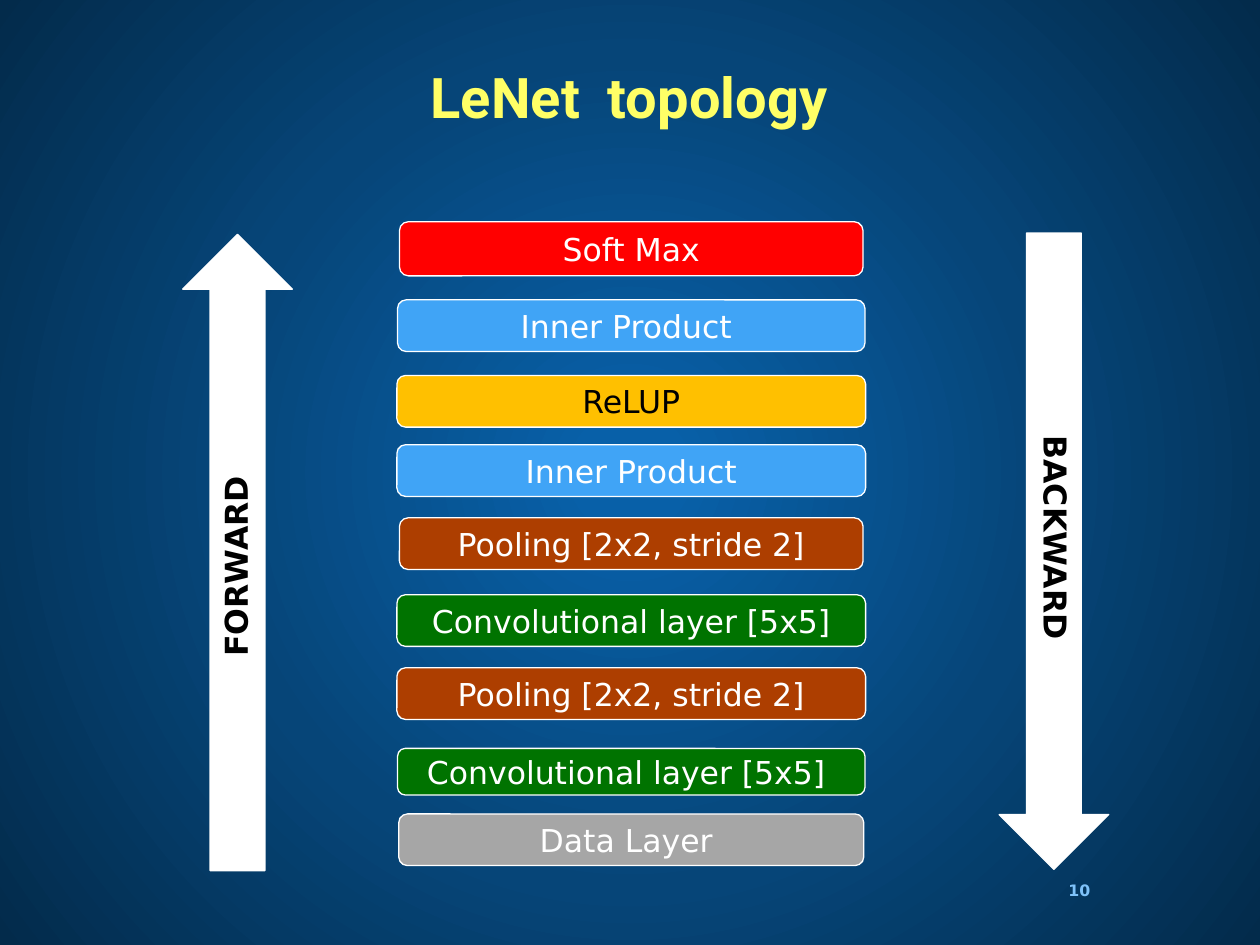
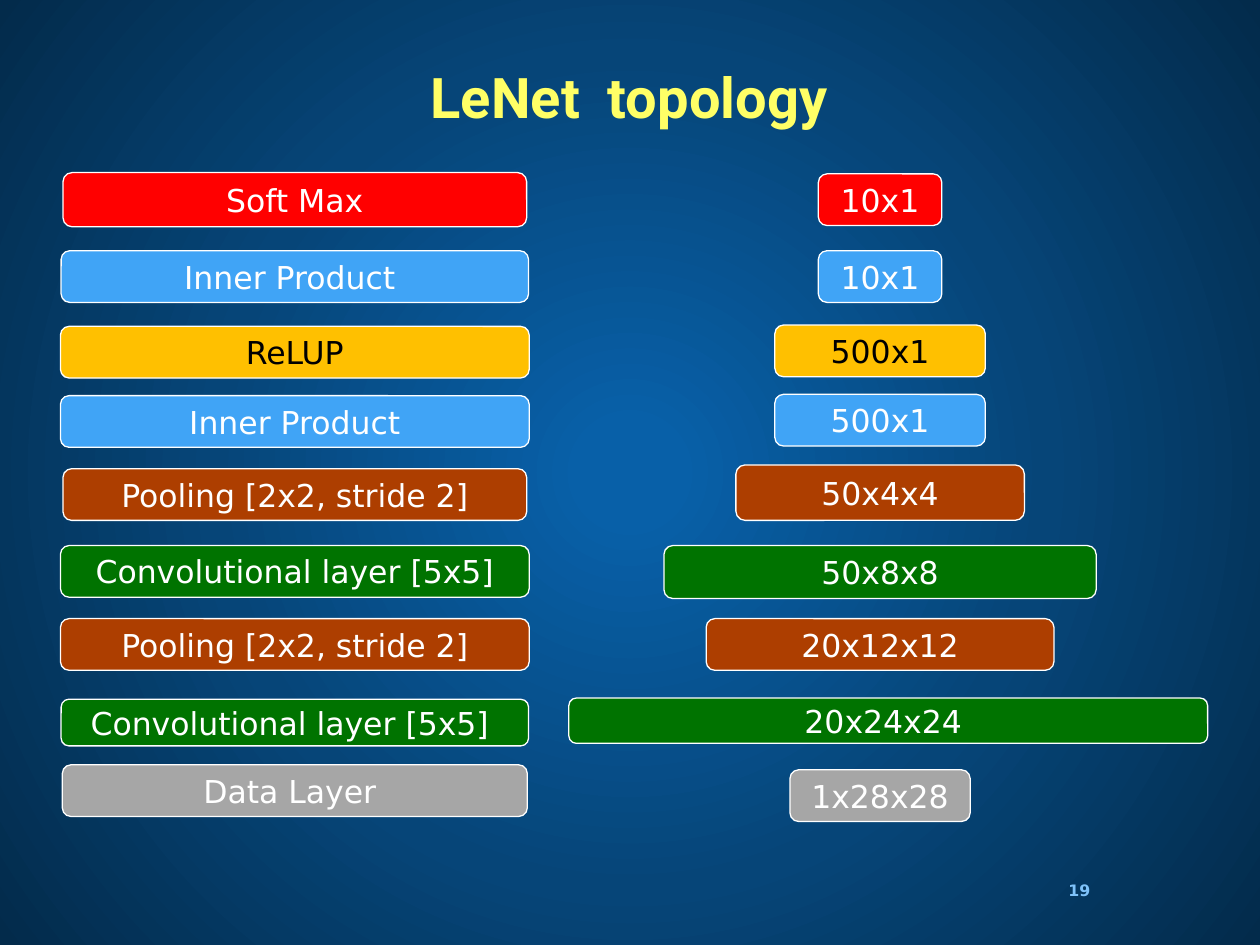
"""Build two LeNet topology slides on a shared radial background."""
import lxml.etree
import pptx
import pptx.dml.color
import pptx.enum.shapes
import pptx.enum.text
import pptx.oxml.ns
import pptx.util
from typing import NamedTuple

COLS, ROWS = 100, 75
SLIDE_W, SLIDE_H = pptx.util.Inches(10), pptx.util.Inches(7.5)
BODY_FONT, TITLE_FONT = "DejaVu Sans", "Roboto"
COLOURS = {
    "glow": "0860A8", "mid": "064578", "edge": "032B4B",
    "title": "FFFF66", "number": "7FC2F9", "white": "FFFFFF", "black": "000000",
    "softmax": "FF0000", "product": "40A4F6", "relu": "FFC000",
    "pooling": "AD3E00", "conv": "007300", "data": "A6A6A6",
}
GLOW_STOPS = [(6, "glow"), (53, "mid"), (100, "edge")]
SHAPES = pptx.enum.shapes.MSO_SHAPE
ANCHOR = pptx.enum.text.MSO_ANCHOR
ALIGN = pptx.enum.text.PP_ALIGN


class Box(NamedTuple):
    """An area measured in grid columns and rows."""
    left: float
    top: float
    width: float
    height: float

    def emu(self):
        """Return the area in slide units."""
        cw, rh = SLIDE_W / COLS, SLIDE_H / ROWS
        return [round(v) for v in (self.left * cw, self.top * rh,
                                   self.width * cw, self.height * rh)]


class Bar(NamedTuple):
    """One rounded bar: text, colour key, top within its stack, size and shift."""
    text: str
    kind: str
    top: float
    width: float
    height: float = 4.1
    shift: float = 0


LAYERS = [
    Bar("Soft Max", "softmax", 0, 36.8, 4.3),
    Bar("Inner Product ", "product", 6.2, 37.1),
    Bar("ReLUP", "relu", 12.2, 37.2),
    Bar("Inner Product", "product", 17.7, 37.2),
    Bar("Pooling [2x2, stride 2]", "pooling", 23.5, 36.8),
    Bar("Convolutional layer [5x5]", "conv", 29.6, 37.2),
    Bar("Pooling [2x2, stride 2]", "pooling", 35.4, 37.2),
    Bar("Convolutional layer [5x5] ", "conv", 41.8, 37.1, 3.7),
    Bar("Data Layer ", "data", 47, 36.9),
]
SIZES = [
    Bar("10x1", "softmax", 0.1, 9.8),
    Bar("10x1", "product", 6.2, 9.8),
    Bar("500x1", "relu", 12.1, 16.7),
    Bar("500x1", "product", 17.6, 16.7),
    Bar("50x4x4", "pooling", 23.2, 22.9, 4.4),
    Bar("50x8x8", "conv", 29.6, 34.3, 4.2),
    Bar("20x12x12", "pooling", 35.4, 27.6),
    Bar("20x24x24 ", "conv", 41.7, 50.7, 3.6, 0.65),
    Bar("1x28x28", "data", 47.4, 14.3),
]


def rgb(name):
    """Look up a colour by its name."""
    return pptx.dml.color.RGBColor.from_string(COLOURS[name])


def write(sp, text, size, colour, font=BODY_FONT, bold=False,
          align=ALIGN.CENTER, anchor=ANCHOR.MIDDLE):
    """Put one formatted paragraph into a shape."""
    tf = sp.text_frame
    tf.word_wrap = True
    tf.vertical_anchor = anchor
    p = tf.paragraphs[0]
    p.text = text
    p.alignment = align
    p.font.name, p.font.size, p.font.bold = font, pptx.util.Pt(size), bold
    p.font.color.rgb = rgb(colour)
    return tf


def add_filled(s, preset, box, fill):
    """Add a flat shape with a thin white outline."""
    sp = s.shapes.add_shape(preset, *box.emu())
    sp.shadow.inherit = False
    sp.fill.solid()
    sp.fill.fore_color.rgb = rgb(fill)
    sp.line.color.rgb = rgb("white")
    sp.line.width = pptx.util.Pt(0.75)
    return sp


def set_background(master):
    """Give the master a radial glow."""
    qn = pptx.oxml.ns.qn
    master.background.fill.solid()
    bg = master.element.find(".//" + qn("p:bgPr"))
    bg.remove(bg[0])
    grad = lxml.etree.Element(qn("a:gradFill"), rotWithShape="1")
    stops = lxml.etree.SubElement(grad, qn("a:gsLst"))
    for pos, name in GLOW_STOPS:
        gs = lxml.etree.SubElement(stops, qn("a:gs"), pos=str(pos * 1000))
        lxml.etree.SubElement(gs, qn("a:srgbClr"), val=COLOURS[name])
    glow = lxml.etree.SubElement(grad, qn("a:path"))
    glow.set("path", "circle")
    lxml.etree.SubElement(glow, qn("a:fillToRect"),
                          **dict.fromkeys("ltrb", "50000"))
    bg.insert(0, grad)


def add_base(prs, title, number):
    """Add a slide with its title and page number."""
    s = prs.slides.add_slide(prs.slide_layouts[5])
    sp = s.shapes.title
    sp.left, sp.top, sp.width, sp.height = Box(3.9, 1.7, 92.1, 12.5).emu()
    tf = write(sp, title, 32, "title", TITLE_FONT, True)
    tf.paragraphs[0].line_spacing = 0.9
    sp = s.shapes.add_textbox(*Box(84.8, 69, 4.5, 3.3).emu())
    tf = write(sp, str(number), 9, "number", bold=True, align=ALIGN.LEFT)
    tf.margin_left = tf.margin_right = tf.margin_top = tf.margin_bottom = 0
    return s


def add_stack(s, bars, box):
    """Stack bars centred across the box."""
    for bar in bars:
        left = box.left + (box.width - bar.width) / 2 + bar.shift
        area = Box(left, box.top + bar.top, bar.width, bar.height)
        sp = add_filled(s, SHAPES.ROUNDED_RECTANGLE, area, bar.kind)
        write(sp, bar.text, 18, "black" if bar.kind == "relu" else "white")


def add_pass_arrow(s, text, box, rotation=0):
    """Add a tall arrow with text running along it."""
    sp = add_filled(s, SHAPES.DOWN_ARROW, box, "white")
    sp.rotation = rotation
    tf = write(sp, text, 18, "black", bold=True, anchor=ANCHOR.TOP)
    tf._txBody.bodyPr.set("vert", "vert")


def add_passes_slide(prs):
    """Show the layers between the forward and backward passes."""
    s = add_base(prs, "LeNet  topology", 10)
    add_pass_arrow(s, "FORWARD", Box(14.5, 18.6, 8.7, 50.5), 180)
    add_pass_arrow(s, "BACKWARD", Box(79.3, 18.5, 8.7, 50.5))
    add_stack(s, LAYERS, Box(31.5, 17.6, 37.2, 51.1))


def add_sizes_slide(prs):
    """Show the layers beside the sizes of their outputs."""
    s = add_base(prs, "LeNet  topology", 19)
    add_stack(s, LAYERS, Box(4.8, 13.7, 37.2, 51.1))
    add_stack(s, SIZES, Box(44.5, 13.7, 50.7, 51.5))


def main():
    """Build and save the presentation."""
    prs = pptx.Presentation()
    prs.slide_width, prs.slide_height = SLIDE_W, SLIDE_H
    set_background(prs.slide_master)
    add_passes_slide(prs)
    add_sizes_slide(prs)
    prs.save("out.pptx")


if __name__ == "__main__":
    main()
